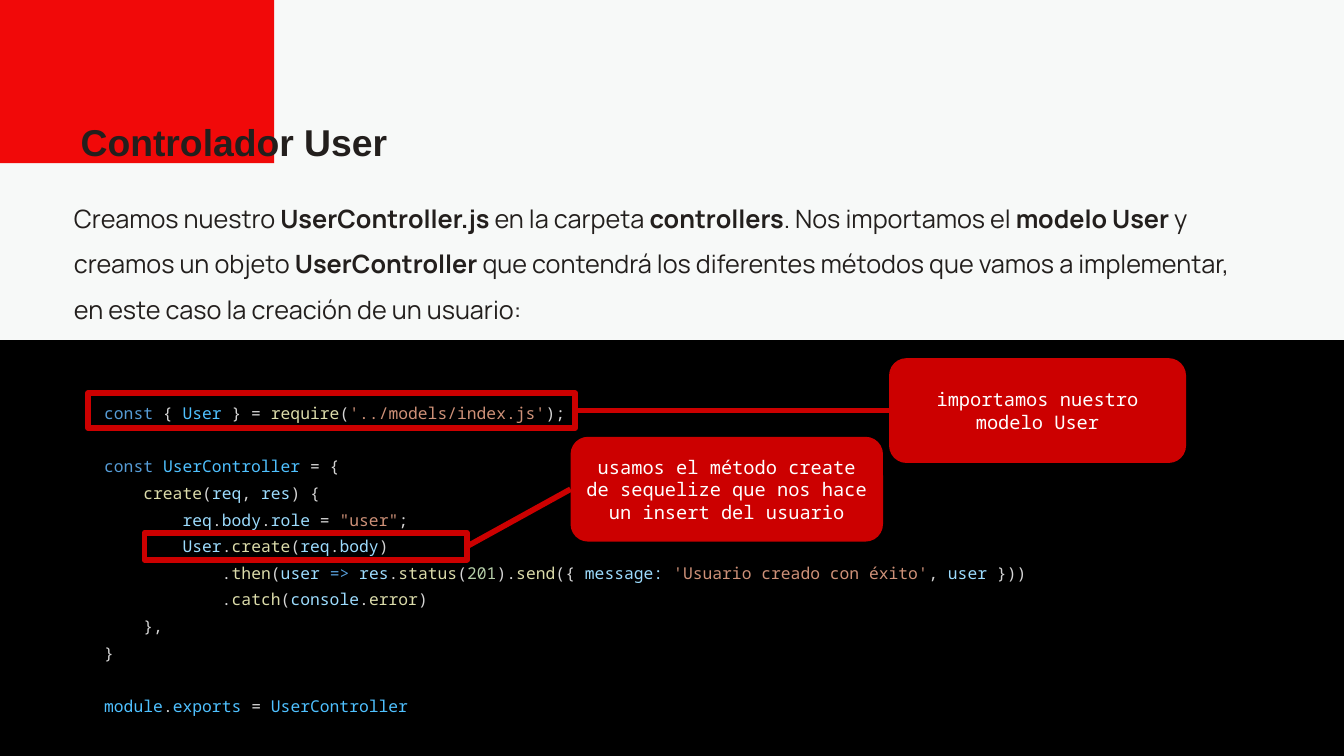
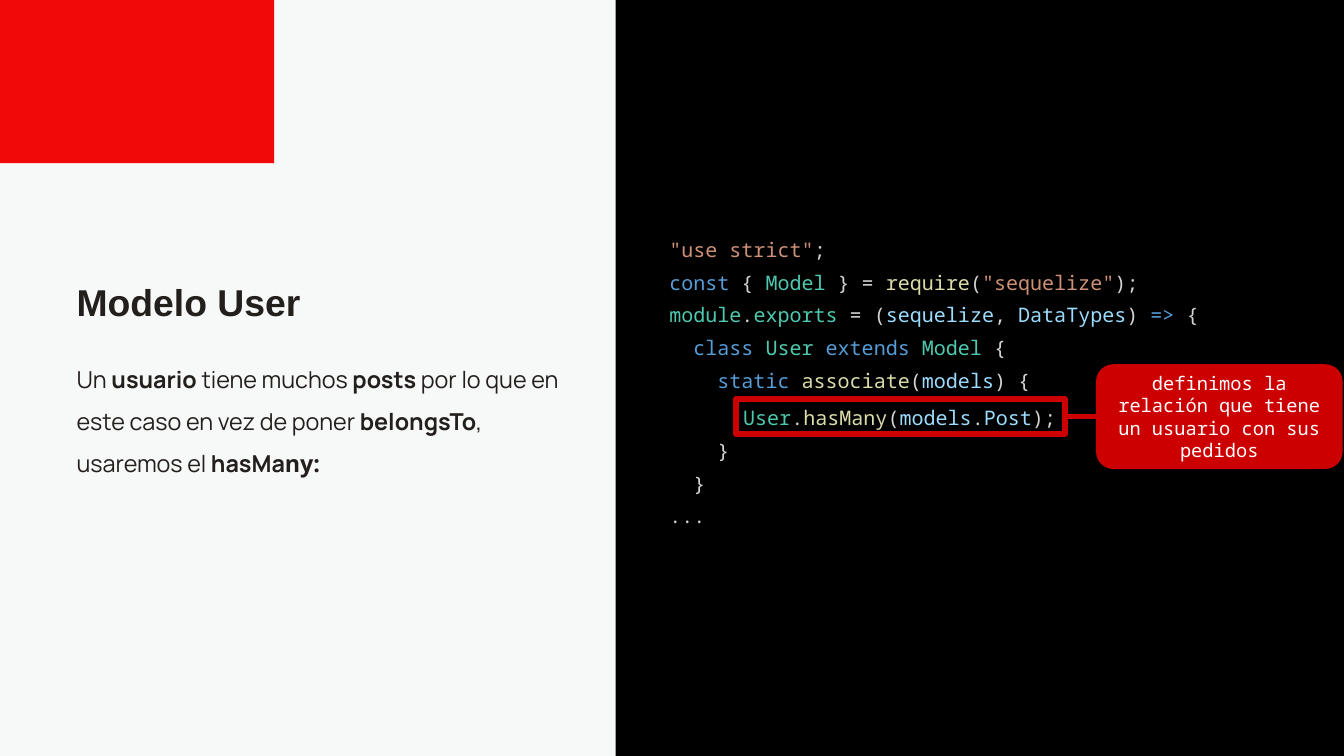
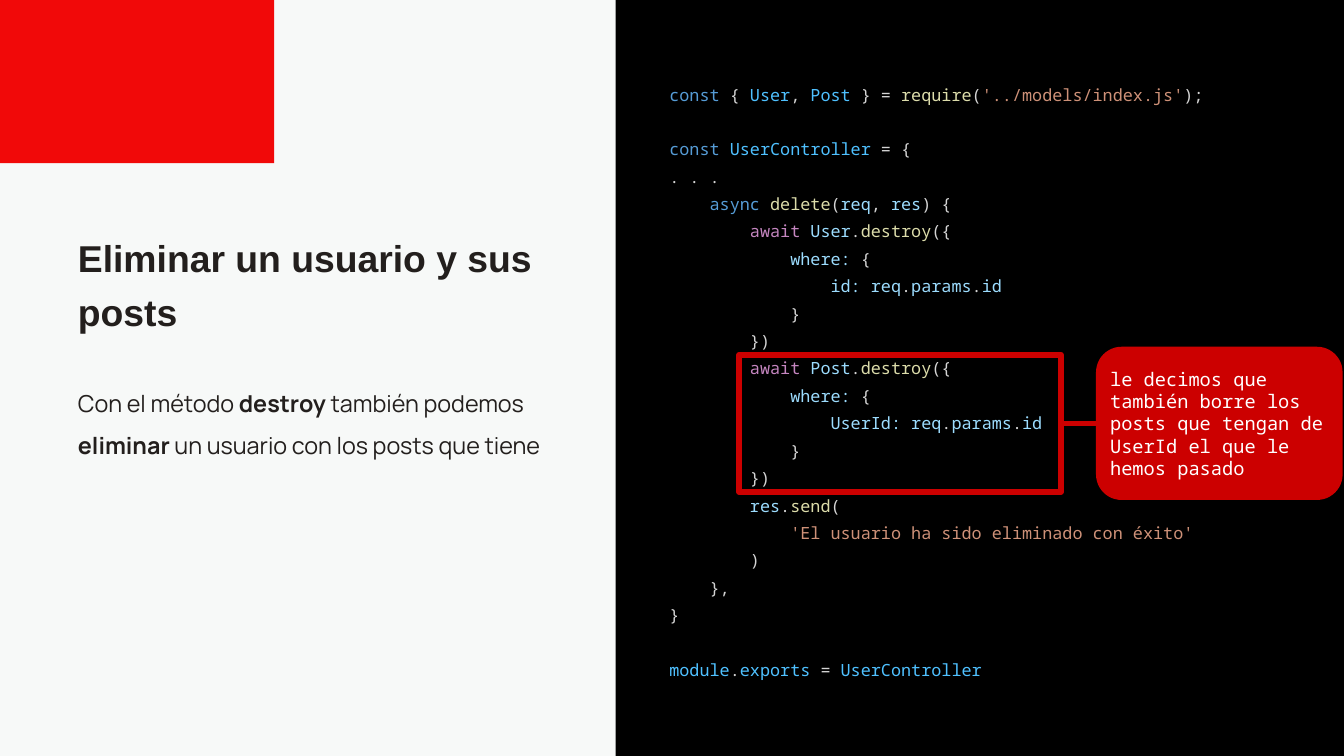
from pptx import Presentation
from pptx.dml.color import RGBColor
from pptx.enum.shapes import MSO_CONNECTOR, MSO_SHAPE
from pptx.enum.text import MSO_ANCHOR, MSO_AUTO_SIZE, PP_ALIGN
from pptx.oxml.ns import qn
from pptx.util import Inches, Pt

RECT, ROUND = MSO_SHAPE.RECTANGLE, MSO_SHAPE.ROUNDED_RECTANGLE
LINE = MSO_CONNECTOR.STRAIGHT
TOP, MIDDLE = MSO_ANCHOR.TOP, MSO_ANCHOR.MIDDLE
LEFT, CENTER = PP_ALIGN.LEFT, PP_ALIGN.CENTER
GROW, FIXED = MSO_AUTO_SIZE.SHAPE_TO_FIT_TEXT, MSO_AUTO_SIZE.NONE

PAPER = RGBColor(0xF7, 0xF9, 0xF8)
INK = RGBColor(0x23, 0x1F, 0x1D)
BLACK = RGBColor(0, 0, 0)
WHITE = RGBColor(0xFF, 0xFF, 0xFF)
BRIGHT = RGBColor(0xF1, 0x09, 0x09)
RED = RGBColor(0xCC, 0, 0)
GREY = RGBColor(0xD4, 0xD4, 0xD4)
BLUE = RGBColor(0x56, 0x9C, 0xD6)
SKY = RGBColor(0x4F, 0xC1, 0xFF)
PALE = RGBColor(0x9C, 0xDC, 0xFE)
CREAM = RGBColor(0xDC, 0xDC, 0xAA)
ORANGE = RGBColor(0xCE, 0x91, 0x78)
GREEN = RGBColor(0xB5, 0xCE, 0xA8)
TEAL = RGBColor(0x4E, 0xC9, 0xB0)
PURPLE = RGBColor(0xC5, 0x86, 0xC0)

HEAD, BODY, MONO = "Arial", "Manrope", "Noto Sans Mono"
WIDTH, HEIGHT = Inches(20), Inches(11.25)
COLS, ROWS = 20, 11.25
SPLIT = 9.16
LEADING, PITCH = 1.36, 1.19

# The letter after an opening ~ picks the style of a run, up to the next ~.
STYLES = {
    "k": {"color": BLUE}, "c": {"color": SKY}, "v": {"color": PALE},
    "f": {"color": CREAM}, "s": {"color": ORANGE}, "n": {"color": GREEN},
    "t": {"color": TEAL}, "a": {"color": PURPLE},
    "b": {"bold": True}, "o": {"bold": True, "font": "Open Sans"},
    "w": {"size": 24.5},
}

CREATE = """~kconst~ { ~cUser~ } = ~frequire~(~s'../models/index.js'~);

~kconst ~~cUserController~ = {
    ~fcreate~(~vreq~, ~vres~) {
        ~vreq~.~vbody~.~vrole~ = ~s"user"~;
        ~vUser~.~fcreate~(~vreq~.~vbody~)
            .~fthen~(~vuser ~~k=> ~~vres~.~fstatus~(~n201~).~fsend~({ ~vmessage: ~~s'Usuario creado con éxito'~, ~vuser~ }))
            .~fcatch~(~vconsole~.~ferror~)
    },
}

~cmodule~.~cexports~ = ~cUserController~"""

MODEL = """~s"use strict"~;
~kconst~ { ~tModel~ } = ~frequire~(~s"sequelize"~);
~tmodule~.~texports~ = (~vsequelize~, ~vDataTypes~) ~k=>~ {
  ~kclass ~~tUser ~~kextends ~~tModel~ {
    ~kstatic ~~fassociate~(~vmodels~) {
    ~w ~ ~tUser~.~fhasMany~(~vmodels~.~vPost~);
    }
  }
..."""

DELETE = """~kconst~ { ~cUser~, ~cPost~ } = ~frequire~(~s'../models/index.js'~);

~kconst ~~cUserController~ = {
. . .
    ~kasync ~~fdelete~(~vreq~, ~vres~) {
        ~aawait ~~vUser~.~fdestroy~({
            ~vwhere:~ {
                ~vid: req~.~vparams~.~vid~
            }
        })
        ~aawait ~~vPost~.~fdestroy~({
            ~vwhere:~ {
                ~vUserId: req~.~vparams~.~vid~
            }
        })
        ~vres~.~fsend~(
            ~s'El usuario ha sido eliminado con éxito'~
        )
    },
}

~cmodule~.~cexports~ = ~cUserController~"""


def place(box):
    """Turn left, top, width, height in grid cells into slide lengths."""
    x, y, w, h = box
    return (round(x * WIDTH / COLS), round(y * HEIGHT / ROWS),
            round(w * WIDTH / COLS), round(h * HEIGHT / ROWS))


def add_runs(para, line, **base):
    for i, part in enumerate(line.split("~")):
        if not part:
            continue
        look = dict(base)
        if i % 2:
            look.update(STYLES[part[0]])
            part = part[1:]
        run = para.add_run()
        run.text = part
        run.font.name = look["font"]
        run.font.size = Pt(look["size"])
        run.font.bold = look["bold"]
        run.font.color.rgb = look["color"]


def write(shape, text, font=BODY, size=25, color=INK, bold=False, leading=1.0,
          align=LEFT, anchor=TOP, pad=0, fit=FIXED):
    """Fill a shape with marked-up text; an empty line becomes space before."""
    frame = shape.text_frame
    frame.word_wrap, frame.auto_size = True, fit
    frame.vertical_anchor = anchor
    frame.margin_left = frame.margin_right = Inches(pad)
    frame.margin_top = frame.margin_bottom = Inches(pad)
    para, gap = None, 0
    for line in text.split("\n"):
        if not line:
            gap += size * leading * PITCH
            continue
        para = frame.add_paragraph() if para else frame.paragraphs[0]
        para.alignment, para.line_spacing = align, leading
        if gap:
            para.space_before, gap = Pt(gap), 0
        add_runs(para, line, font=font, size=size, color=color, bold=bold)


def add_text(slide, text, box, **form):
    write(slide.shapes.add_textbox(*place(box)), text, **form)


def add_title(slide, text, box):
    add_text(slide, text, box, font=HEAD, size=40, bold=True, leading=1.2,
             fit=GROW)


def add_body(slide, text, box, size=25):
    add_text(slide, text, box, size=size, leading=1.5, fit=GROW)


def add_code(slide, text, box, size, **form):
    add_text(slide, text, box, font=MONO, size=size, color=GREY,
             leading=LEADING, **form)


def add_block(slide, box, fill=None, kind=RECT):
    """Draw a filled shape, or a red outline when no fill is given."""
    shape = slide.shapes.add_shape(kind, *place(box))
    shape.shadow.inherit = False
    if fill is None:
        shape.fill.background()
        shape.line.color.rgb, shape.line.width = RED, Pt(6)
    else:
        shape.fill.solid()
        shape.fill.fore_color.rgb = fill
        shape.line.fill.background()
    return shape


def add_note(slide, text, frame, bubble, align=CENTER):
    """Frame some code and join it to a bubble on its right."""
    mark = add_block(slide, frame)
    note = add_block(slide, bubble, RED, ROUND)
    write(note, text, font=MONO, size=20, color=WHITE, align=align,
          anchor=MIDDLE, pad=0.1)
    link = slide.shapes.add_connector(LINE, 0, 0, 0, 0)
    link.begin_connect(mark, 3)
    link.end_connect(note, 1)
    link.line.color.rgb, link.line.width = RED, Pt(6)
    props = link._element.spPr
    props.append(props.makeelement(qn("a:effectLst"), {}))


def add_slide(deck, panel):
    """Start a slide with the red corner and a black panel for code."""
    slide = deck.slides.add_slide(deck.slide_layouts[6])
    fill = slide.background.fill
    fill.solid()
    fill.fore_color.rgb = PAPER
    add_block(slide, (0, 0, 4.08, 2.43), BRIGHT)
    add_block(slide, panel, BLACK)
    return slide


def add_split(deck, title, body, code, left, tops, size):
    """Add a slide with text on the left and code on the right."""
    slide = add_slide(deck, (SPLIT, 0, COLS - SPLIT, ROWS))
    add_title(slide, title, (left, tops[0], 7.28, 0.67))
    add_body(slide, body, (left, tops[1], 7.28, 1.68))
    add_code(slide, code, (9.96, 1.67, 9.71, 7.92), size, anchor=MIDDLE)
    return slide


def add_control(deck):
    top = 5.06
    slide = add_slide(deck, (0, top, COLS, ROWS - top))
    add_title(slide, "Controlador User", (1.2, 1.64, 14.26, 0.68))
    add_body(slide, "Creamos nuestro ~bUserController.js ~en la carpeta "
             "~bcontrollers~. Nos importamos el ~bmodelo User~ y creamos un "
             "objeto ~bUserController~ que contendrá los diferentes métodos "
             "que vamos a implementar, en este caso la creación de un "
             "usuario:", (1.1, 2.8, 17.38, 1.82), size=27)
    add_code(slide, CREATE, (1.55, 5.9, 16.9, 4.69), 17.5, fit=GROW)
    add_note(slide, "usamos el método create de sequelize que nos hace un "
             "insert del usuario",
             (2.15, 7.93, 4.8, 0.4), (8.49, 6.5, 4.65, 1.56))
    add_note(slide, "importamos nuestro modelo User",
             (1.31, 5.85, 7.25, 0.52), (13.23, 5.33, 4.42, 1.56))


def add_model(deck):
    slide = add_split(
        deck, "Modelo User",
        "Un ~busuario~ tiene muchos ~bposts~ por lo que en este caso en vez "
        "de poner ~bbelongsTo~, usaremos el ~bhasMa~~ony:~",
        MODEL, 1.14, (4.02, 5.22), 21.5)
    add_note(slide, "definimos la relación que tiene un usuario con sus "
             "pedidos", (10.95, 5.94, 4.9, 0.52), (16.31, 5.42, 3.67, 1.56))


def add_delete(deck):
    slide = add_split(
        deck, "Eliminar un usuario y sus posts",
        "Con el método ~bdestroy~ también podemos ~beliminar~ un usuario "
        "con los posts que tiene",
        DELETE, 1.16, (3.37, 5.58), 18)
    add_note(slide, "le decimos que también borre los posts que tengan de "
             "UserId el que le hemos pasado",
             (11, 5.28, 4.79, 2.04), (16.31, 5.16, 3.67, 2.28), align=LEFT)


def main():
    deck = Presentation()
    deck.slide_width, deck.slide_height = WIDTH, HEIGHT
    add_control(deck)
    add_model(deck)
    add_delete(deck)
    deck.save("out.pptx")


if __name__ == "__main__":
    main()
